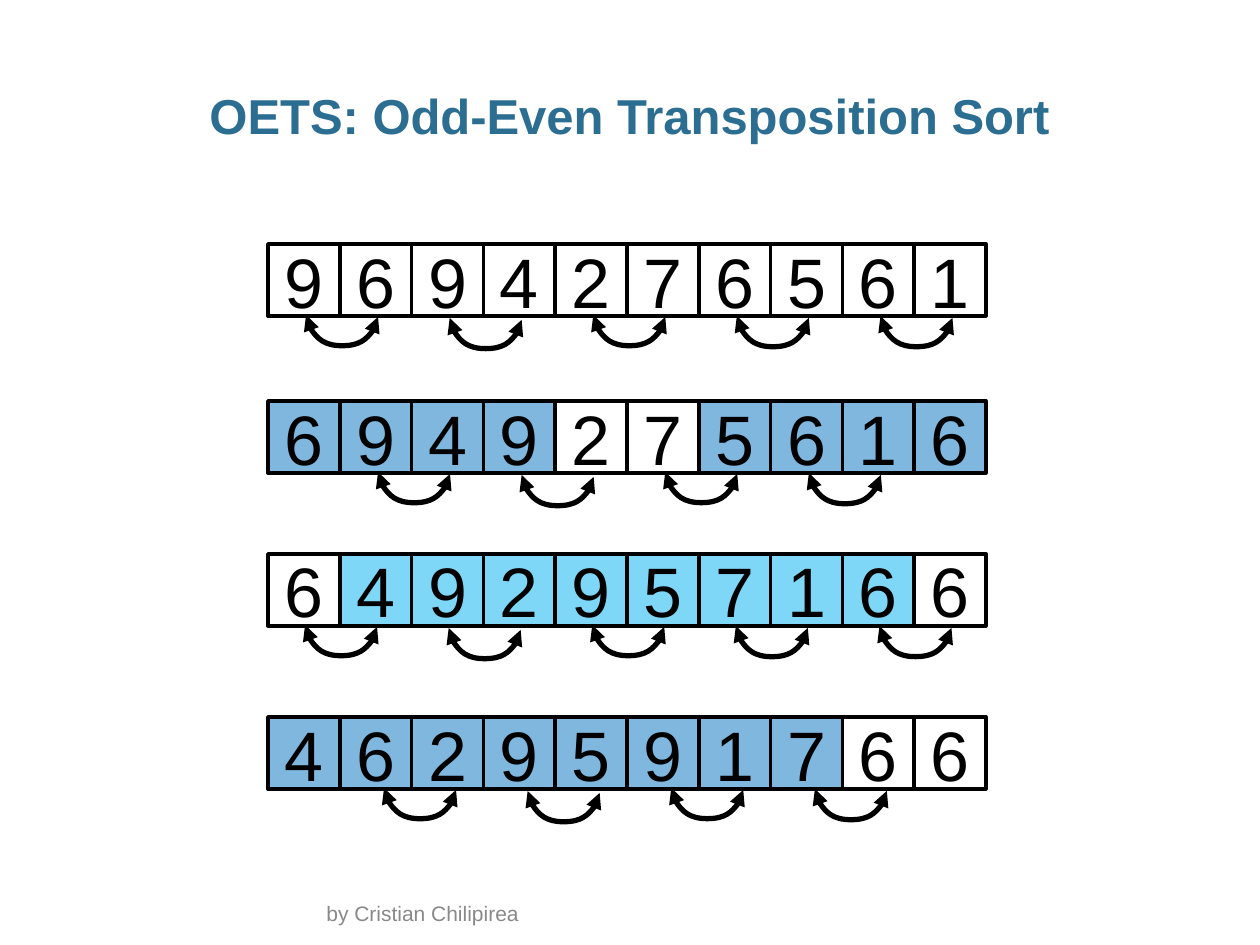
from dataclasses import dataclass

from lxml.etree import SubElement
from pptx import Presentation
from pptx.dml.color import RGBColor as RGB
from pptx.enum.shapes import MSO_CONNECTOR as CONNECTOR, MSO_SHAPE as SHAPE
from pptx.enum.text import MSO_ANCHOR as ANCHOR, PP_ALIGN as ALIGN
from pptx.oxml.ns import qn
from pptx.util import Pt

PX = 914400 / 126
ROW_LEFT, ROW_WIDTH, ROW_HEIGHT = 268, 718, 72
ARC_WIDTH, ARC_DEPTH, ARC_TILT = 72, 31, 2
ARC_NUDGES = (0, 3, 0, 1, 1)


@dataclass(frozen=True)
class Theme:
    """Colours, type sizes and line widths of the slide."""
    font: str = "Arial"
    title: str = "2C6D92"
    ink: str = "000000"
    muted: str = "898989"
    odd_pass: str = "0070C0"
    even_pass: str = "00B0F0"
    title_size: int = 28
    digit_size: int = 40
    footer_size: int = 12
    cell_line: int = 2
    arc_line: int = 3


THEME = Theme()

# top, digits, swapped cells, swap colour, left end of the first arc, arc count
PASSES = (
    (244, "9694276561", "", THEME.ink, 38, 5),
    (401, "6949275616", "01236789", THEME.odd_pass, 110, 4),
    (554, "6492957166", "12345678", THEME.even_pass, 37, 5),
    (717, "4629591766", "01234567", THEME.odd_pass, 116, 4),
)


def emu(*lengths):
    """Turn px lengths into EMU."""
    return [round(n * PX) for n in lengths]


def style_text(tf, size, color, bold=False):
    """Give every run of a text frame the theme font."""
    for p in tf.paragraphs:
        for r in p.runs:
            r.font.name, r.font.size, r.font.bold = THEME.font, Pt(size), bold
            r.font.color.rgb = RGB.from_string(color)


def add_title(slide, text, box):
    """Move and format the title placeholder."""
    sp = slide.shapes.title
    sp.left, sp.top, sp.width, sp.height = emu(*box)
    tf = sp.text_frame
    tf.text = text
    tf.margin_left = tf.margin_right = 0
    tf.vertical_anchor = ANCHOR.MIDDLE
    tf.paragraphs[0].alignment = ALIGN.CENTER
    tf.paragraphs[0].line_spacing = 0.95
    style_text(tf, THEME.title_size, THEME.title, bold=True)


def add_footer(slide, text, box):
    """Add the author line."""
    tf = slide.shapes.add_textbox(*emu(*box)).text_frame
    tf.word_wrap = True
    tf.vertical_anchor = ANCHOR.BOTTOM
    tf.text = text
    style_text(tf, THEME.footer_size, THEME.muted)


def add_cell(slide, digit, box, fill):
    """Add one array cell, half transparent when it has a fill."""
    s = slide.shapes.add_shape(SHAPE.RECTANGLE, *emu(*box))
    s.shadow.inherit = False
    s.line.color.rgb = RGB.from_string(THEME.ink)
    s.line.width = Pt(THEME.cell_line)
    if fill:
        s.fill.solid()
        s.fill.fore_color.rgb = RGB.from_string(fill)
        color = s._element.spPr.find(qn("a:solidFill")).find(qn("a:srgbClr"))
        SubElement(color, qn("a:alpha"), val="50000")
    else:
        s.fill.background()
    tf = s.text_frame
    tf.text = digit
    tf.vertical_anchor = ANCHOR.MIDDLE
    tf.paragraphs[0].alignment = ALIGN.CENTER
    style_text(tf, THEME.digit_size, THEME.ink)


def add_swap_arc(slide, x, y):
    """Add a double-headed curve that hangs down from (x, y)."""
    mid_x, mid_y = x + ARC_WIDTH / 2, y + ARC_TILT / 2
    half_w, half_h = ARC_TILT / 2, ARC_WIDTH / 2
    s = slide.shapes.add_connector(
        CONNECTOR.CURVE,
        *emu(mid_x + half_w, mid_y - half_h, mid_x - half_w, mid_y + half_h))
    s.line.color.rgb = RGB.from_string(THEME.ink)
    s.line.width = Pt(THEME.arc_line)
    spPr = s._element.spPr
    spPr.find(qn("a:xfrm")).set("rot", "16200000")
    bend = round(ARC_DEPTH / ARC_TILT * 100000)
    guides = spPr.find(qn("a:prstGeom")).find(qn("a:avLst"))
    SubElement(guides, qn("a:gd"), name="adj1", fmla=f"val {bend}")
    ln = spPr.find(qn("a:ln"))
    for end in ("a:headEnd", "a:tailEnd"):
        SubElement(ln, qn(end), type="triangle")
    SubElement(spPr, qn("a:effectLst"))


def add_pass(slide, box, digits, swapped, color, arc_start, arc_count):
    """Add one row of cells and the swaps compared below it."""
    left, top, width, height = box
    cell = width / len(digits)
    for i, digit in enumerate(digits):
        fill = color if str(i) in swapped else None
        add_cell(slide, digit, (left + i * cell, top, cell, height), fill)
    for i, nudge in enumerate(ARC_NUDGES[:arc_count]):
        add_swap_arc(slide, left + arc_start + 2 * i * cell,
                     top + height - 1 + nudge)


def main():
    """Build the slide and save it."""
    prs = Presentation()
    prs.slide_width, prs.slide_height = emu(1260, 945)
    slide = prs.slides.add_slide(prs.slide_layouts[5])
    add_title(slide, "OETS: Odd-Even Transposition Sort", (43, 86, 1173, 63))
    add_footer(slide, "by Cristian Chilipirea", (314, 902, 632, 30))
    for top, *row in PASSES:
        add_pass(slide, (ROW_LEFT, top, ROW_WIDTH, ROW_HEIGHT), *row)
    prs.save("out.pptx")


if __name__ == "__main__":
    main()
